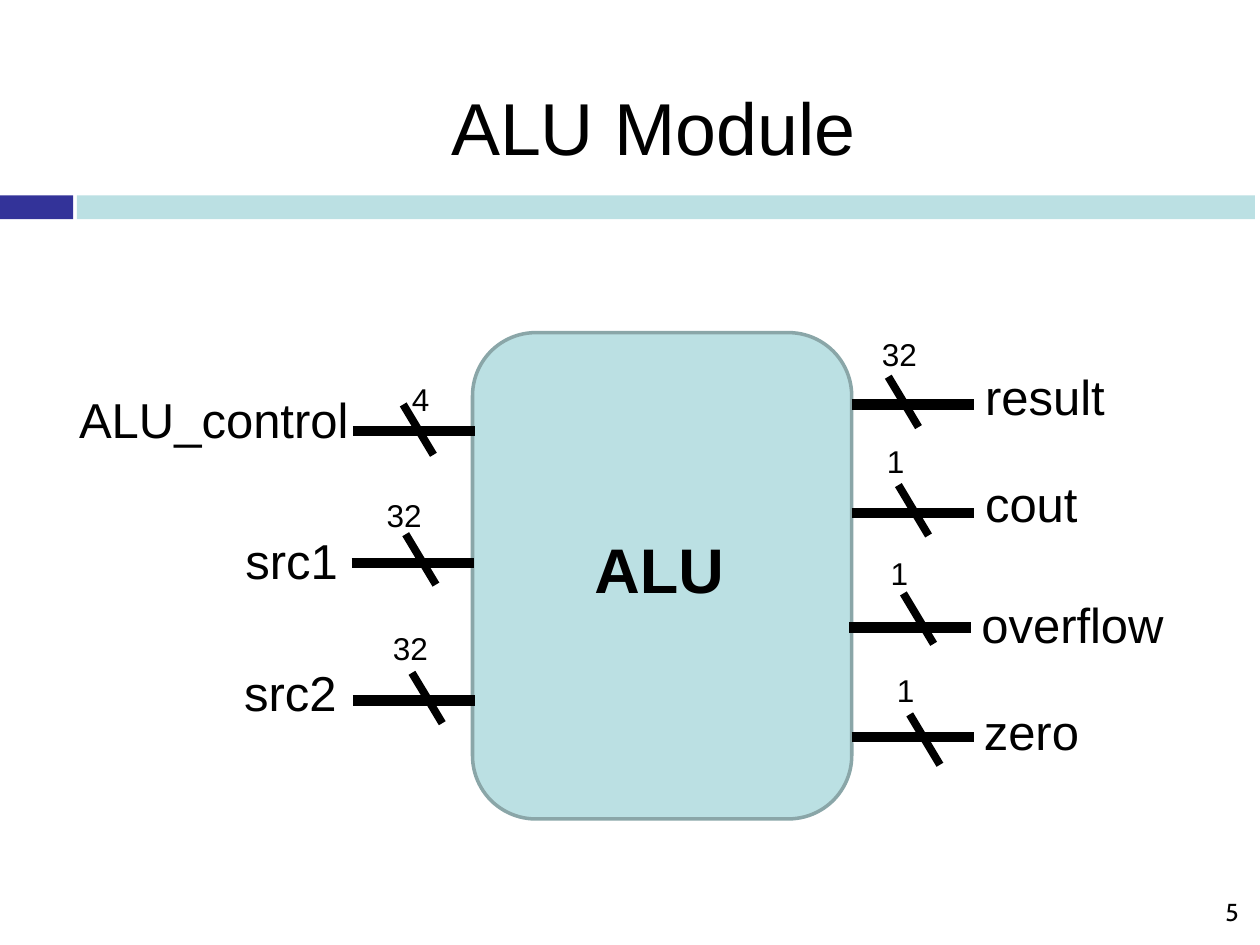
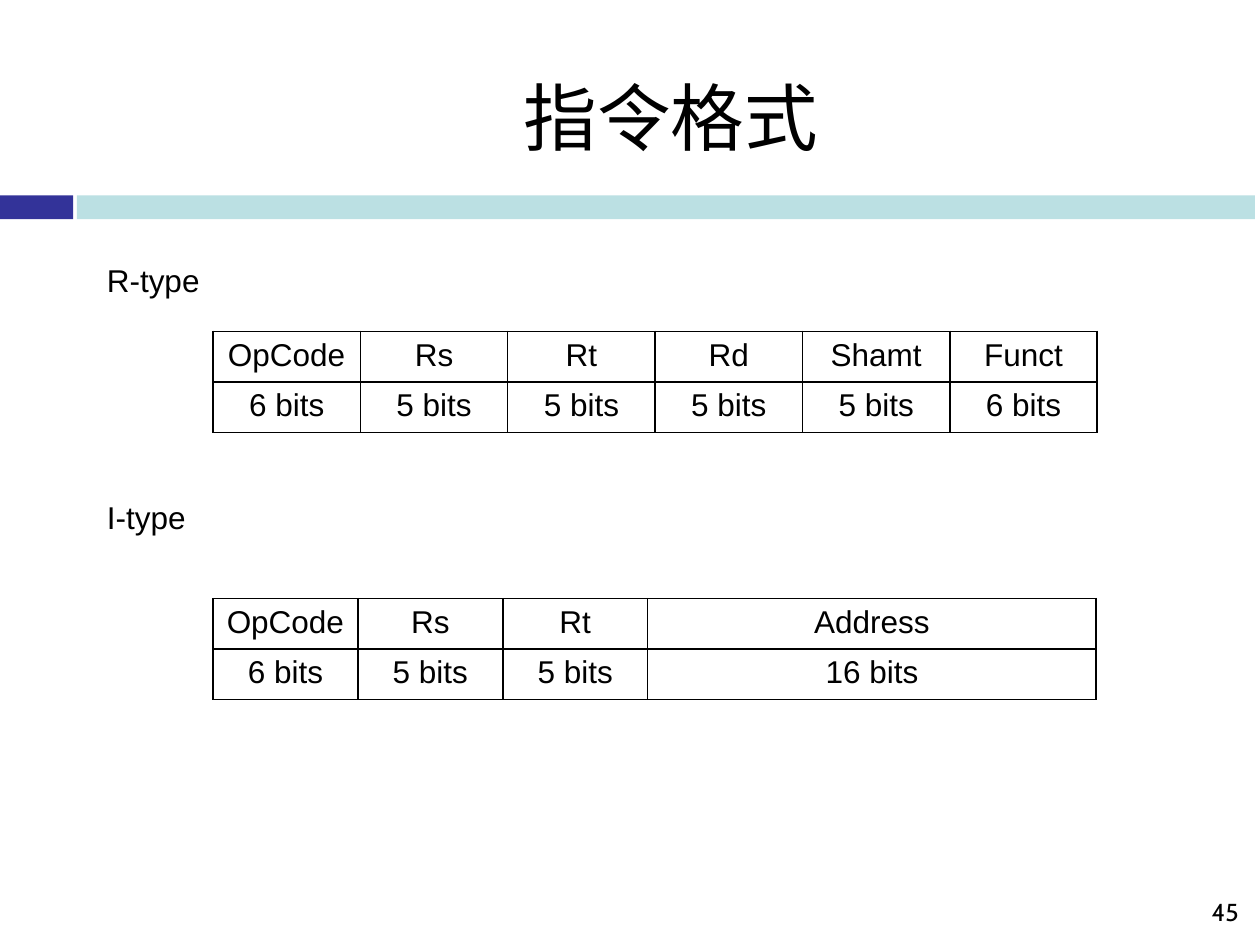
from collections import namedtuple

from lxml.etree import SubElement
from pptx import Presentation
from pptx.dml.color import RGBColor
from pptx.enum.shapes import MSO_CONNECTOR, MSO_SHAPE
from pptx.enum.text import MSO_ANCHOR, PP_ALIGN
from pptx.oxml.ns import qn
from pptx.util import Inches, Pt

BLACK, NAVY, PALE_TEAL, GREY_TEAL = "000000", "333399", "BBE0E3", "8AA6A8"
BODY_FONT, NUMBER_FONT = "Arial", "Cabin"
WIRE_LENGTH = 0.97

# Positions: label box (left, top, width), wire start, slash start, bit-count box.
Signal = namedtuple("Signal", "name bits label wire slash count")
SIGNALS = [
    Signal("ALU_control", "4", (0.53, 3.04, 2.43), (2.8, 3.42), (3.2, 3.21), (3.17, 2.97)),
    Signal("src1", "32", (1.85, 4.16, 0.94), (2.79, 4.47), (3.22, 4.24), (2.97, 3.89)),
    Signal("src2", "32", (1.84, 5.21, 0.94), (2.8, 5.56), (3.27, 5.34), (3.02, 4.94)),
    Signal("result", "32", (7.72, 2.86, 1.3), (6.76, 3.21), (7.05, 2.99), (6.9, 2.61)),
    Signal("cout", "1", (7.72, 3.71, 1.3), (6.76, 4.07), (7.13, 3.85), (6.94, 3.46)),
    Signal("overflow", "1", (7.69, 4.67, 1.88), (6.74, 4.98), (7.17, 4.71), (6.97, 4.35)),
    Signal("zero", "1", (7.71, 5.52, 1.15), (6.76, 5.85), (7.22, 5.67), (7.02, 5.28)),
]

# Each format: name, label top, table top, column widths, fields with bit counts.
FORMATS = [
    ("R-type", 2.02, 2.63, [1.17] * 6,
     [("OpCode", 6), ("Rs", 5), ("Rt", 5), ("Rd", 5), ("Shamt", 5), ("Funct", 6)]),
    ("I-type", 3.9, 4.75, [1.15] * 3 + [3.56],
     [("OpCode", 6), ("Rs", 5), ("Rt", 5), ("Address", 16)]),
]


def color(hex_code):
    return RGBColor.from_string(hex_code)


def write(frame, text, size=18, font=BODY_FONT, bold=False, align=PP_ALIGN.LEFT):
    paragraph = frame.paragraphs[0]
    paragraph.alignment = align
    run = paragraph.add_run()
    run.text = text
    run.font.size = Pt(size)
    run.font.name = font
    run.font.bold = bold
    run.font.color.rgb = color(BLACK)


def add_text(slide, text, left, top, width, height, anchor=MSO_ANCHOR.TOP, **text_format):
    box = slide.shapes.add_textbox(Inches(left), Inches(top), Inches(width), Inches(height))
    frame = box.text_frame
    frame.word_wrap = True
    frame.vertical_anchor = anchor
    write(frame, text, **text_format)
    return frame


def add_block(slide, kind, left, top, width, height, fill, outline=None):
    shape = slide.shapes.add_shape(kind, Inches(left), Inches(top), Inches(width), Inches(height))
    shape.shadow.inherit = False
    shape.fill.solid()
    shape.fill.fore_color.rgb = color(fill)
    if outline:
        shape.line.color.rgb = color(outline)
        shape.line.width = Pt(2)
    else:
        shape.line.fill.background()


def add_line(slide, start, run, drop, weight):
    left, top = start
    line = slide.shapes.add_connector(MSO_CONNECTOR.STRAIGHT, Inches(left), Inches(top),
                                      Inches(left + run), Inches(top + drop))
    line.line.color.rgb = color(BLACK)
    line.line.width = Pt(weight)
    SubElement(line._element.spPr, qn("a:effectLst"))


def add_titled_slide(presentation, title, number, left, top, height, anchor):
    """Add a blank slide with the shared bands, page number and title."""
    slide = presentation.slides.add_slide(presentation.slide_layouts[6])
    add_block(slide, MSO_SHAPE.RECTANGLE, 0, 1.55, 0.58, 0.19, NAVY)
    add_block(slide, MSO_SHAPE.RECTANGLE, 0.61, 1.55, 9.35, 0.19, PALE_TEAL)
    add_text(slide, str(number), 7.6, 7.06, 2.33, 0.36, MSO_ANCHOR.MIDDLE,
             size=14, font=NUMBER_FONT, align=PP_ALIGN.RIGHT)
    frame = add_text(slide, title, left, top, 7.89, height, anchor, size=42,
                     align=PP_ALIGN.CENTER)
    frame.margin_top = frame.margin_bottom = 0
    return slide


def add_signal(slide, signal):
    """Draw a bus wire with its name, slash and bit count."""
    left, top, width = signal.label
    add_line(slide, signal.wire, WIRE_LENGTH, 0, 6)
    add_line(slide, signal.slash, 0.24, 0.4, 4.5)
    add_text(slide, signal.name, left, top, width, 0.57, size=28)
    add_text(slide, signal.bits, *signal.count, 0.29 + 0.1 * len(signal.bits), 0.4)


def set_borders(cell):
    properties = cell._tc.get_or_add_tcPr()
    for side in ("lnL", "lnR", "lnT", "lnB"):
        border = SubElement(properties, qn(f"a:{side}"), w=str(Pt(1)))
        fill = SubElement(border, qn("a:solidFill"))
        SubElement(fill, qn("a:srgbClr"), val=BLACK)


def add_field_table(slide, top, widths, fields):
    rows = [[name for name, _ in fields], [f"{bits} bits" for _, bits in fields]]
    table = slide.shapes.add_table(len(rows), len(fields), Inches(1.69), Inches(top),
                                   Inches(sum(widths)), Inches(0.76)).table
    table.first_row = table.horz_banding = False
    for column, width in zip(table.columns, widths):
        column.width = Inches(width)
    for row_index, row in enumerate(rows):
        for column_index, text in enumerate(row):
            cell = table.cell(row_index, column_index)
            set_borders(cell)
            cell.fill.background()
            write(cell.text_frame, text, align=PP_ALIGN.CENTER)


def build_alu_slide(presentation):
    slide = add_titled_slide(presentation, "ALU Module", 5, 1.24, 0.58, 0.77, MSO_ANCHOR.BOTTOM)
    add_block(slide, MSO_SHAPE.ROUNDED_RECTANGLE, 3.75, 2.64, 3.01, 3.86, PALE_TEAL, GREY_TEAL)
    add_text(slide, "ALU", 4.62, 4.16, 1.4, 0.71, size=36, bold=True)
    for signal in SIGNALS:
        add_signal(slide, signal)


def build_format_slide(presentation):
    slide = add_titled_slide(presentation, "指令格式", 45, 1.38, 0.3, 1.25, MSO_ANCHOR.MIDDLE)
    for name, label_top, table_top, widths, fields in FORMATS:
        add_text(slide, name, 0.75, label_top, 1.57, 0.4)
        add_field_table(slide, table_top, widths, fields)


def main():
    presentation = Presentation()
    presentation.slide_width = Inches(10)
    presentation.slide_height = Inches(7.5)
    build_alu_slide(presentation)
    build_format_slide(presentation)
    presentation.save("out.pptx")


if __name__ == "__main__":
    main()
